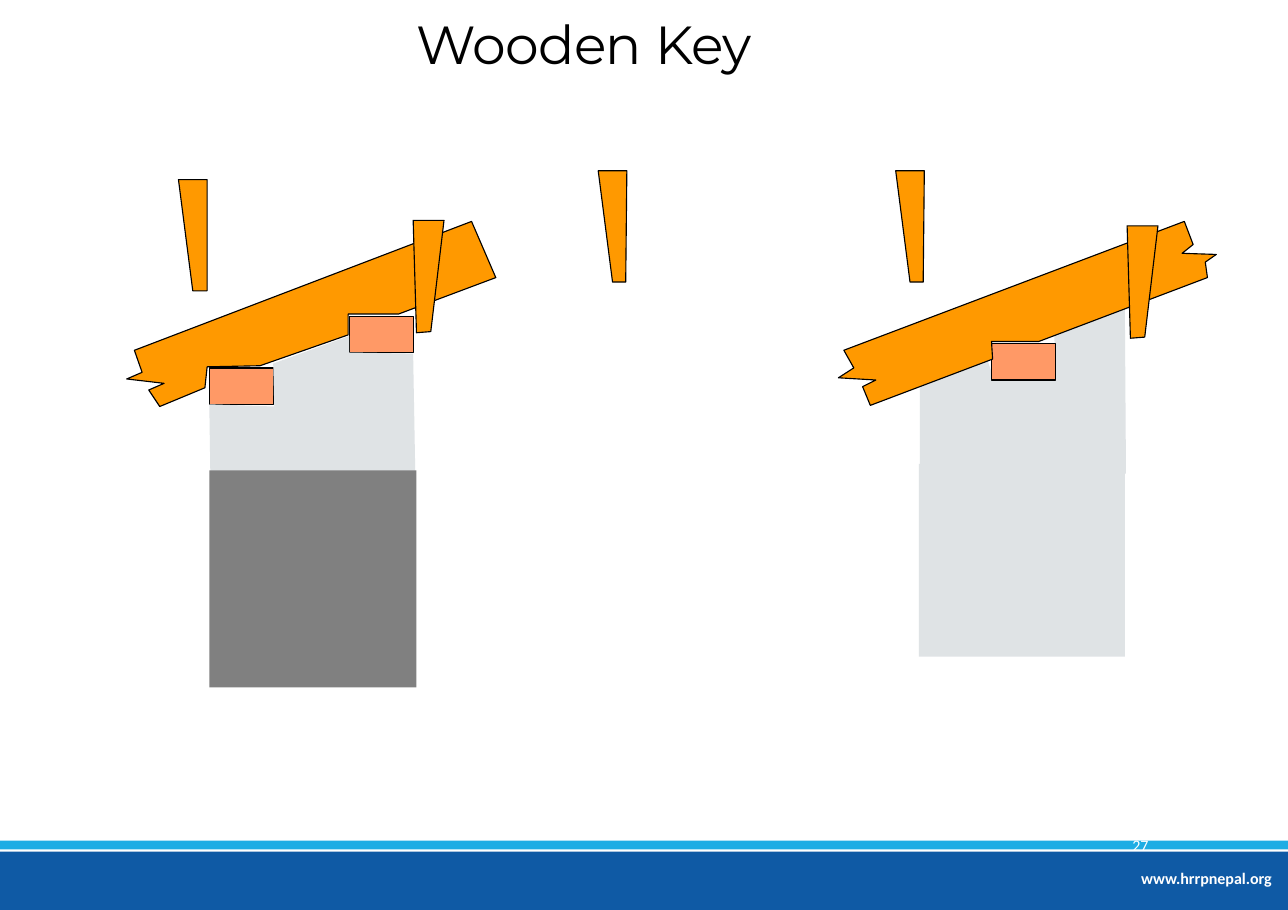
from pptx import Presentation
from pptx.dml.color import RGBColor
from pptx.enum.shapes import MSO_SHAPE
from pptx.enum.text import MSO_ANCHOR, PP_ALIGN
from pptx.util import Inches, Pt

RECT = MSO_SHAPE.RECTANGLE
MIDDLE, BOTTOM, TOP = MSO_ANCHOR.MIDDLE, MSO_ANCHOR.BOTTOM, MSO_ANCHOR.TOP
LEFT, CENTER = PP_ALIGN.LEFT, PP_ALIGN.CENTER
WIDTH, HEIGHT = Inches(11.69), Inches(8.26)
COLS, ROWS = 1169, 826
CELL = WIDTH / COLS

THEME = {
    "navy": "0F5AA5", "sky": "1CADE4", "wood": "FF9900", "block": "FF9966",
    "wall": "DFE3E5", "base": "808080", "ink": "000000", "white": "FFFFFF",
    "edge": Pt(0.75),
    "title": {"size": Pt(35), "name": "Montserrat"},
    "number": {"size": Pt(10.5), "name": "Calibri"},
    "site": {"size": Pt(10.5), "name": "Calibri", "bold": True},
}

LOOSE = [(0, 0), (13, 101), (25.5, 101), (26, 0)]
DRIVEN = [(0, 0), (3, 102), (16, 101), (28, 0)]
LEFT_BEAM = [(122, 318), (428, 201), (450, 252), (362, 285), (316, 285),
             (316, 304), (236, 332), (188, 333), (186, 352), (145, 369),
             (135, 354), (149, 348), (115, 344), (129, 338)]
LEFT_WALL = [(190, 367), (191, 433), (377, 433), (375, 321), (317, 320),
             (317, 305), (248, 330), (249, 369)]
RIGHT_WALL = [(835, 431), (835, 351), (896, 326), (900, 338), (958, 339),
              (957, 304), (1021, 281), (1022, 430)]
RIGHT_BEAM = [(790, 368), (783, 351), (795, 345), (761, 343), (775, 334),
              (766, 318), (1075, 201), (1083, 222), (1073, 230), (1104, 231),
              (1094, 238), (1096, 252), (943, 310), (900, 310), (901, 326)]


def color(name):
    return RGBColor.from_string(THEME[name])


def span(col, row, cols, rows):
    return [round(n * CELL) for n in (col, row, cols, rows)]


def apply(item, style):
    for key, value in style.items():
        setattr(item, key, value)


def paint(shape, fill, edged):
    shape.shadow.inherit = False
    shape.fill.solid()
    shape.fill.fore_color.rgb = color(fill)
    if edged:
        shape.line.color.rgb = color("ink")
        shape.line.width = THEME["edge"]
    else:
        shape.line.fill.background()


def add_box(slide, area, fill, edged=False):
    paint(slide.shapes.add_shape(RECT, *span(*area)), fill, edged)


def add_form(slide, points, fill, edged=False):
    start, *rest = points
    form = slide.shapes.build_freeform(*start, scale=CELL)
    form.add_line_segments(rest, close=True)
    paint(form.convert_to_shape(), fill, edged)


def add_key(slide, form, col, row):
    points = [(col + x, row + y) for x, y in form]
    add_form(slide, points, "wood", True)


def add_text(slide, area, text, role, ink, anchor=TOP, align=LEFT):
    frame = slide.shapes.add_textbox(*span(*area)).text_frame
    apply(frame, {"word_wrap": True, "vertical_anchor": anchor})
    line = frame.paragraphs[0]
    line.alignment = align
    run = line.add_run()
    run.text = text
    apply(run.font, THEME[role])
    run.font.color.rgb = color(ink)
    return line


def add_frame(slide):
    add_box(slide, (0, 773, COLS, ROWS - 773), "navy")
    add_box(slide, (0, 763, COLS, 8), "sky")
    add_text(slide, (1026, 783, 143, 28), "www.hrrpnepal.org", "site", "white")
    title = add_text(slide, (48, 13, 964, 60), "Wooden Key", "title", "ink",
                     BOTTOM, CENTER)
    title.line_spacing = 0.85
    title.runs[0].font._element.set("spc", "-40")
    add_text(slide, (1018, 746, 93, 42), "27", "number", "white", MIDDLE)


def add_left(slide):
    add_form(slide, LEFT_BEAM, "wood", True)
    for col, row in ((190, 334), (317, 287)):
        add_box(slide, (col, row, 58, 33), "block", True)
    for col, row in ((162, 163), (543, 155)):
        add_key(slide, LOOSE, col, row)
    add_key(slide, DRIVEN, 375, 200)
    add_form(slide, LEFT_WALL, "wall")
    add_box(slide, (190, 427, 188, 197), "base")


def add_right(slide):
    add_form(slide, RIGHT_WALL, "wall")
    add_box(slide, (834, 421, 187, 175), "wall")
    add_box(slide, (900, 312, 58, 33), "block", True)
    add_form(slide, RIGHT_BEAM, "wood", True)
    add_key(slide, LOOSE, 813, 155)
    add_key(slide, DRIVEN, 1023, 205)


def main():
    deck = Presentation()
    apply(deck, {"slide_width": WIDTH, "slide_height": HEIGHT})
    slide = deck.slides.add_slide(deck.slide_layouts[6])
    add_frame(slide)
    add_left(slide)
    add_right(slide)
    deck.save("out.pptx")


if __name__ == "__main__":
    main()
